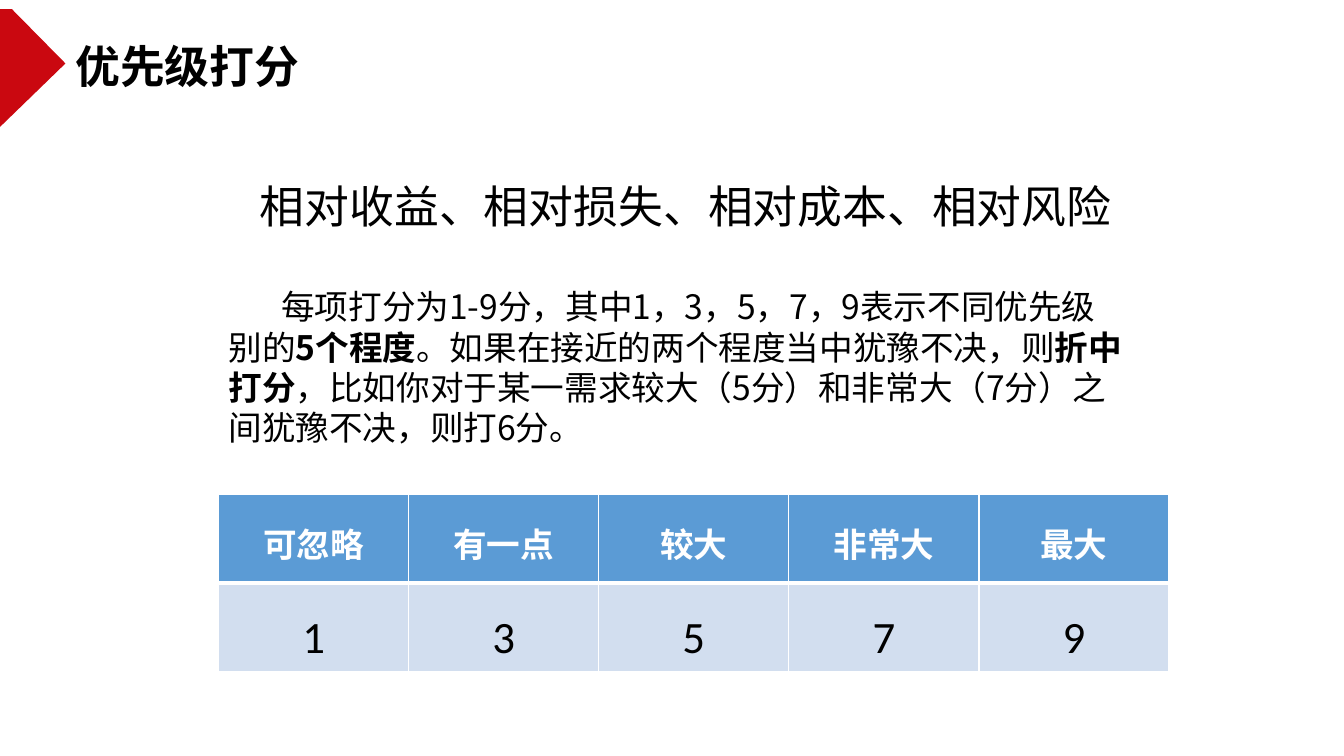
from lxml import etree
from pptx import Presentation
from pptx import util as u
from pptx.dml.color import RGBColor
from pptx.enum import text
from pptx.oxml import ns

CJK = "Noto Sans CJK SC"
LATIN = "Calibri"
BLACK, WHITE, RED = "000000", "FFFFFF", "CA0810"
HEADER_BLUE, PALE_BLUE = "5B9BD5", "D2DEEF"


def color(value):
    return RGBColor.from_string(value)


class SlideBuilder:
    def __init__(self, slide):
        self.slide = slide

    def add_runs(self, paragraph, runs, size, font, ink=BLACK):
        """Add (wording, bold) pairs to a paragraph."""
        for wording, bold in runs:
            run = paragraph.add_run()
            run.text = wording
            run.font.size = u.Pt(size)
            run.font.bold = bold
            run.font.name = font
            run.font.color.rgb = color(ink)
            east_asian = etree.SubElement(run.font._element, ns.qn("a:ea"))
            east_asian.set("typeface", CJK)

    def textbox(self, left, top, width, height, runs, size, font, indent=0):
        box = self.slide.shapes.add_textbox(
            u.Cm(left), u.Cm(top), u.Cm(width), u.Cm(height))
        frame = box.text_frame
        frame.word_wrap = True
        frame.auto_size = text.MSO_AUTO_SIZE.SHAPE_TO_FIT_TEXT
        paragraph = frame.paragraphs[0]
        if indent:
            paragraph._p.get_or_add_pPr().set("indent", str(u.Cm(indent)))
        self.add_runs(paragraph, runs, size, font)

    def polygon(self, points, fill):
        start, *rest = [(u.Cm(x), u.Cm(y)) for x, y in points]
        outline = self.slide.shapes.build_freeform(*start)
        outline.add_line_segments(rest, close=True)
        shape = outline.convert_to_shape()
        shape.shadow.inherit = False
        shape.fill.solid()
        shape.fill.fore_color.rgb = color(fill)
        shape.line.fill.background()

    def cell_borders(self, cell, top, bottom):
        """Draw white borders, one point wide at the sides."""
        properties = cell._tc.get_or_add_tcPr()
        edges = {"lnL": 1, "lnR": 1, "lnT": top, "lnB": bottom}
        for position, (edge, width) in enumerate(edges.items()):
            line = etree.Element(ns.qn(f"a:{edge}"), w=str(u.Pt(width)))
            fill = etree.SubElement(line, ns.qn("a:solidFill"))
            etree.SubElement(fill, ns.qn("a:srgbClr"), val=WHITE)
            properties.insert(position, line)

    def table(self, left, top, width, height, rows):
        """Each row is (labels, size, bold, ink, fill, top border, bottom border)."""
        columns = len(rows[0][0])
        grid = self.slide.shapes.add_table(
            len(rows), columns, u.Cm(left), u.Cm(top), u.Cm(width), u.Cm(height)).table
        for r, (labels, size, bold, ink, fill, above, below) in enumerate(rows):
            for c, label in enumerate(labels):
                cell = grid.cell(r, c)
                cell.margin_left = cell.margin_right = u.Cm(0.19)
                cell.margin_top = cell.margin_bottom = 0
                cell.fill.solid()
                cell.fill.fore_color.rgb = color(fill)
                self.cell_borders(cell, above, below)
                paragraph = cell.text_frame.paragraphs[0]
                paragraph.alignment = text.PP_ALIGN.CENTER
                paragraph.line_spacing = 1.5
                self.add_runs(paragraph, [(label, bold)], size, LATIN, ink)


def main():
    deck = Presentation()
    deck.slide_width, deck.slide_height = u.Cm(33.87), u.Cm(19.05)
    page = SlideBuilder(deck.slides.add_slide(deck.slide_layouts[6]))

    page.textbox(1.65, 0.84, 14.12, 1.63, [("优先级打分", True)], 32, CJK)
    page.polygon([(0, 0.23), (0, 3.2), (1.65, 1.6), (0.3, 0.23)], RED)
    page.table(5.51, 12.45, 23.95, 4.48, [
        (["可忽略", "有一点", "较大", "非常大", "最大"], 24, True, WHITE, HEADER_BLUE, 1, 3),
        (["1", "3", "5", "7", "9"], 32, False, BLACK, PALE_BLUE, 3, 1),
    ])
    scoring_rule = [
        ("每项打分为1-9分，其中1，3，5，7，9表示不同优先级别的", False),
        ("5个程度", True),
        ("。如果在接近的两个程度当中犹豫不决，则", False),
        ("折中打分", True),
        ("，比如你对于某一需求较大（5分）和非常大（7分）之间犹豫不决，则打6分。", False),
    ]
    page.textbox(5.51, 7.09, 23.09, 4.37, scoring_rule, 24, CJK, indent=1.33)
    page.textbox(6.3, 4.37, 22.35, 1.63,
                 [("相对收益、相对损失、相对成本、相对风险", False)], 32, LATIN)
    deck.save("out.pptx")


if __name__ == "__main__":
    main()
